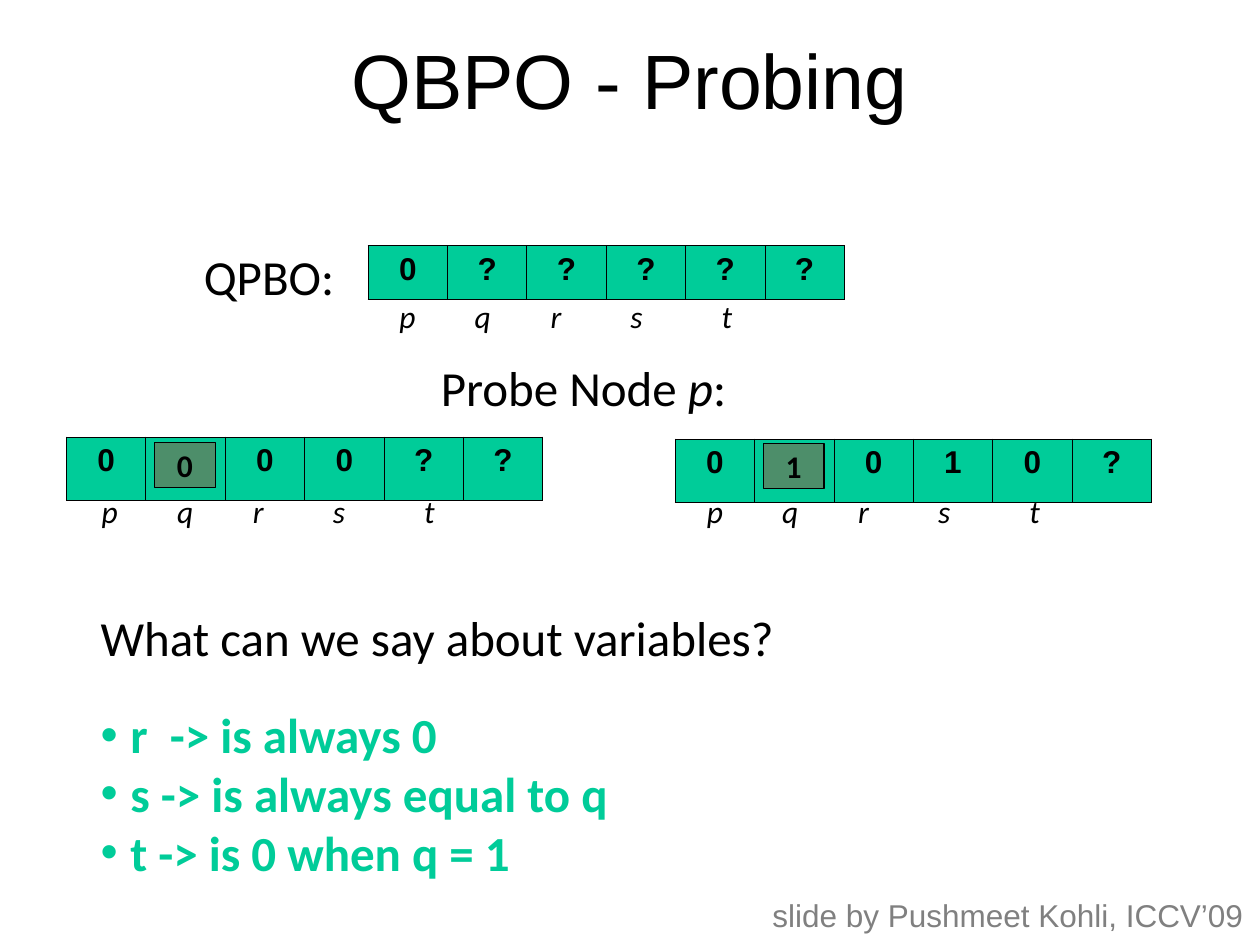
"""Build the slide on probing with QPBO."""
from lxml.etree import SubElement as Sub
from pptx import Presentation
from pptx.dml.color import RGBColor as Rgb
from pptx.enum.shapes import MSO_SHAPE as Shape
from pptx.enum.text import MSO_ANCHOR as Anchor, PP_ALIGN as Align
from pptx.oxml import parse_xml
from pptx.oxml.ns import nsdecls, qn
from pptx.util import Cm, Pt

GREEN, BLACK, GREY, RED = "00CC99", "000000", "808080", "FF0000"
CELL = 1.6

TABLES = [
    (7.42, 4.95, 1.09, "0?????", 7.8, 5.87),
    (1.34, 8.81, 1.27, "0 00??", 1.8, 9.8),
    (13.61, 8.85, 1.27, "0 010?", 14.0, 9.8),
]
NODES = [("p", 0), ("q", 1.52), ("r", 3.05), ("s", 4.66), ("t", 6.5)]
PROBES = [("0", 3.12, 8.92), ("1", 15.39, 8.94)]
LABELS = [
    ("QPBO:", 3.86, 4.85, 3.56, 1.45, 28, "Calibri", BLACK),
    ("slide by Pushmeet Kohli, ICCV’09", 15.32, 17.93, 10.01, 1.02, 18, "Arial", GREY),
]
ASK = "What can we say about variables?"
FACTS = ["r  -> is always 0", "s -> is always equal to q", "t -> is 0 when q = 1"]


def color(code):
    return Rgb.from_string(code)


def style(para, size, face="Calibri", code=BLACK, bold=False, ital=False):
    for run in para.runs:
        font = run.font
        font.size, font.name = Pt(size), face
        font.bold, font.italic = bold, ital
        font.color.rgb = color(code)


def add_text(slide, text, x, y, w, h, wrap=True):
    box = slide.shapes.add_textbox(Cm(x), Cm(y), Cm(w), Cm(h))
    frame = box.text_frame
    frame.word_wrap = wrap
    frame.text = text
    return frame


def add_edges(cell):
    props = cell._tc.get_or_add_tcPr()
    for spot, side in enumerate("LRTB"):
        props.insert(spot, parse_xml(
            f'<a:ln{side} {nsdecls("a")} w="5715"><a:solidFill>'
            f'<a:srgbClr val="{BLACK}"/></a:solidFill></a:ln{side}>'))


def add_row(slide, x, y, h, marks):
    count = len(marks)
    table = slide.shapes.add_table(
        1, count, Cm(x), Cm(y), Cm(CELL * count), Cm(h)).table
    table.first_row = table.horz_banding = False
    for col, mark in enumerate(marks):
        table.columns[col].width = Cm(CELL)
        cell = table.cell(0, col)
        cell.fill.solid()
        cell.fill.fore_color.rgb = color(GREEN)
        add_edges(cell)
        cell.text = mark.strip()
        para = cell.text_frame.paragraphs[0]
        para.alignment = Align.CENTER
        style(para, 18, "Arial", bold=True)


def add_probe(slide, mark, x, y):
    box = slide.shapes.add_shape(Shape.RECTANGLE, Cm(x), Cm(y), Cm(1.22), Cm(0.91))
    box.shadow.inherit = False
    box.fill.solid()
    box.fill.fore_color.rgb = color(RED)
    tint = box._element.spPr.find(qn("a:solidFill"))[0]
    Sub(tint, qn("a:alpha"), val="30000")
    box.line.color.rgb = color(BLACK)
    box.line.width = Pt(0.75)
    frame = box.text_frame
    frame.margin_top = frame.margin_bottom = 0
    frame.vertical_anchor = Anchor.MIDDLE
    frame.text = mark
    para = frame.paragraphs[0]
    para.alignment = Align.CENTER
    style(para, 18, bold=True)


def add_bullet(para):
    props = para._p.get_or_add_pPr()
    props.set("marL", str(Cm(0.6)))
    props.set("indent", str(-Cm(0.6)))
    tint = Sub(props, qn("a:buClr"))
    Sub(tint, qn("a:srgbClr"), val=GREEN)
    Sub(props, qn("a:buFont"), typeface="Arial")
    Sub(props, qn("a:buChar"), char="•")


def add_facts(slide):
    frame = add_text(slide, ASK, 1.78, 12.12, 15.67, 5.9)
    style(frame.paragraphs[0], 28)
    for spot, fact in enumerate(FACTS):
        para = frame.add_paragraph()
        para.text = fact
        if spot == 0:
            para.space_before = Pt(22)
        add_bullet(para)
        style(para, 28, code=GREEN, bold=True)


def main():
    deck = Presentation()
    deck.slide_width, deck.slide_height = Cm(25.4), Cm(19.05)
    slide = deck.slides.add_slide(deck.slide_layouts[6])

    for x, y, h, marks, left, top in TABLES:
        add_row(slide, x, y, h, marks)
        for name, step in NODES:
            frame = add_text(slide, name, left + step, top, 2.64, 1.02)
            style(frame.paragraphs[0], 18, ital=True)

    for probe in PROBES:
        add_probe(slide, *probe)

    for text, x, y, w, h, size, face, code in LABELS:
        frame = add_text(slide, text, x, y, w, h, False)
        style(frame.paragraphs[0], size, face, code)

    para = add_text(slide, "", 8.64, 7.09, 7.11, 1.45, False).paragraphs[0]
    for part in ("Probe Node ", "p", ":"):
        para.add_run().text = part
    style(para, 28)
    para.runs[1].font.italic = True

    add_facts(slide)

    frame = add_text(slide, "QBPO - Probing", 0.5, 0, 24.4, 3.18)
    frame.vertical_anchor = Anchor.MIDDLE
    frame.paragraphs[0].alignment = Align.CENTER
    style(frame.paragraphs[0], 44, "Arial")

    deck.save("out.pptx")


if __name__ == "__main__":
    main()
